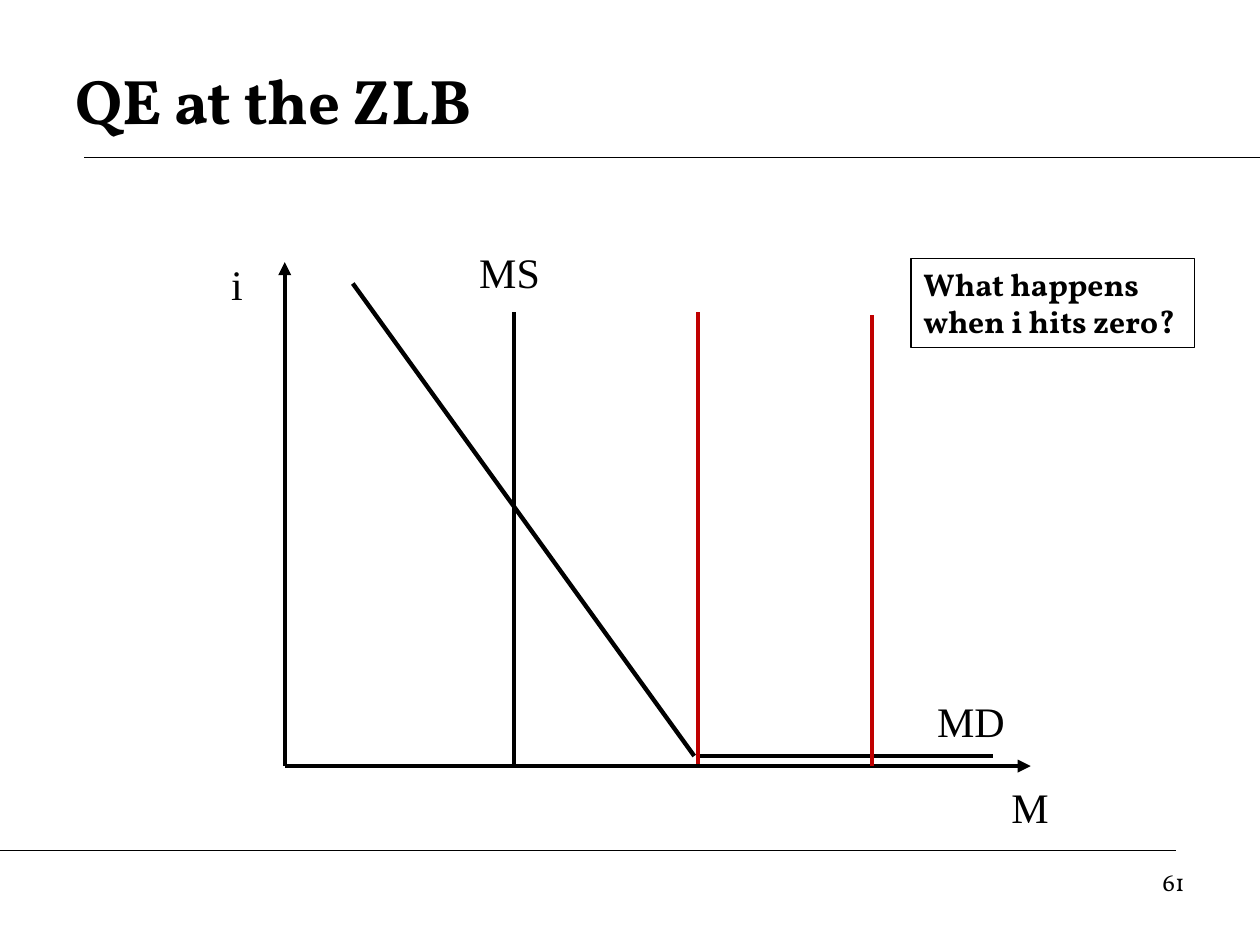
from dataclasses import dataclass
from typing import Any

from lxml import etree
from pptx import Presentation
from pptx.dml.color import RGBColor
from pptx.enum.shapes import MSO_CONNECTOR as CONN, MSO_SHAPE as SHAPE
from pptx.enum.text import MSO_ANCHOR as ANCHOR, PP_ALIGN as ALIGN
from pptx.oxml.ns import qn
from pptx.util import Inches, Pt

COLORS = {"ink": "000000", "shift": "C00000"}
SERIF, HEAD = "Times New Roman", "Vollkorn"


@dataclass
class Deck:
    """Draws styled lines, text and framed notes on the current slide."""

    s: Any

    def line(self, x1, y1, x2, y2, color="ink", width=2.5, arrow=False):
        c = self.s.shapes.add_connector(
            CONN.STRAIGHT, Inches(x1), Inches(y1), Inches(x2), Inches(y2))
        c.line.color.rgb = RGBColor.from_string(COLORS[color])
        c.line.width = Pt(width)
        if arrow:
            ln = c.element.spPr.find(qn("a:ln"))
            etree.SubElement(ln, qn("a:tailEnd"), type="triangle")
        etree.SubElement(c.element.spPr, qn("a:effectLst"))

    def set_text(self, sp, text, size, font, bold=False, align=ALIGN.LEFT,
                 anchor=ANCHOR.TOP):
        tf = sp.text_frame
        tf.word_wrap = True
        tf.vertical_anchor = anchor
        p = tf.paragraphs[0]
        p.text = text
        p.alignment = align
        p.font.size = Pt(size)
        p.font.name = font
        p.font.bold = bold
        p.font.color.rgb = RGBColor.from_string(COLORS["ink"])

    def text(self, x, y, w, h, text, size=24, font=SERIF, **style):
        sp = self.s.shapes.add_textbox(Inches(x), Inches(y), Inches(w), Inches(h))
        self.set_text(sp, text, size, font, **style)

    def label(self, x, y, w, text):
        self.text(x, y, w, 0.51, text, align=ALIGN.CENTER)

    def note(self, x, y, w, h, text):
        sp = self.s.shapes.add_shape(
            SHAPE.RECTANGLE, Inches(x), Inches(y), Inches(w), Inches(h))
        sp.shadow.inherit = False
        sp.fill.background()
        sp.line.color.rgb = RGBColor.from_string(COLORS["ink"])
        sp.line.width = Pt(0.75)
        self.set_text(sp, text, 18, HEAD, bold=True)


def main():
    prs = Presentation()
    prs.slide_width, prs.slide_height = Inches(10), Inches(7.5)
    deck = Deck(prs.slides.add_slide(prs.slide_layouts[6]))

    deck.line(0.67, 1.25, 10, 1.25, width=0.75)
    deck.line(0, 6.75, 9.33, 6.75, width=0.75)
    deck.text(0.5, 0.33, 9, 0.92, "QE at the ZLB", 36, HEAD, bold=True,
              anchor=ANCHOR.MIDDLE)

    left, base, floor = 2.26, 6.08, 6
    deck.line(left, base, 8.18, base, arrow=True)
    deck.line(left, base, left, 2.08, arrow=True)
    deck.line(2.8, 2.25, 5.51, floor)
    deck.line(5.54, floor, 7.88, floor)
    for x, bottom, color in ((4.08, 6.06, "ink"), (5.54, 6.06, "shift"),
                             (6.92, base, "shift")):
        deck.line(x, bottom, x, bottom - 3.58, color)

    for x, y, w, name in ((7.84, 6.15, 0.67, "M"), (1.59, 2, 0.58, "i"),
                          (3.38, 1.91, 1.33, "MS"), (7.23, 5.47, 0.95, "MD")):
        deck.label(x, y, w, name)

    deck.note(7.23, 2.05, 2.25, 0.71, "What happens when i hits zero?")
    deck.text(7.17, 6.83, 2.33, 0.52, "61", 14, HEAD, align=ALIGN.RIGHT)
    prs.save("out.pptx")


if __name__ == "__main__":
    main()
